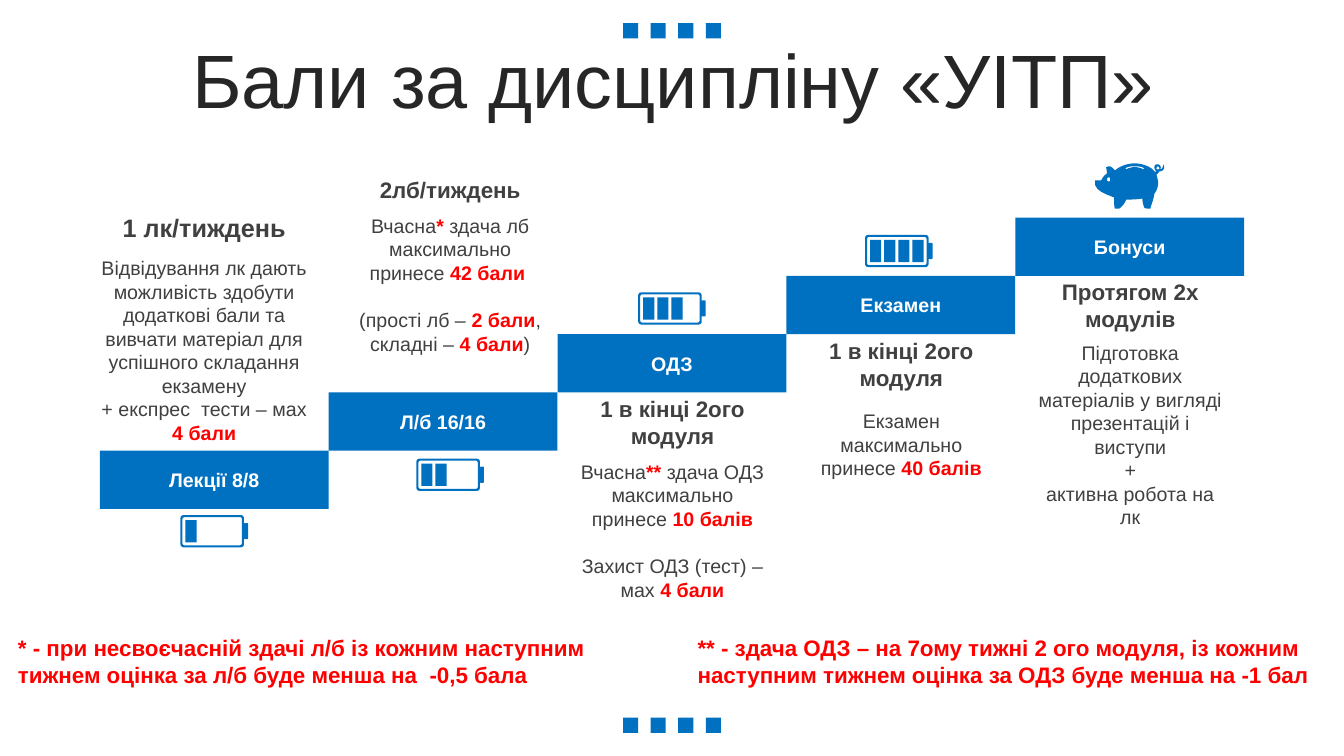
import dataclasses
import math

import pptx
import pptx.dml.color
import pptx.enum.shapes
import pptx.enum.text
import pptx.util

Inches = pptx.util.Inches
ALIGN = pptx.enum.text.PP_ALIGN
ANCHOR = pptx.enum.text.MSO_ANCHOR


@dataclasses.dataclass(frozen=True)
class Theme:
    """Colours and type sizes of the slide."""
    font: str = "Arial"
    blue: str = "0070C0"
    white: str = "FFFFFF"
    title: str = "262626"
    ink: str = "404040"
    red: str = "FF0000"
    title_size: int = 54
    lead_size: int = 18
    heading_size: int = 16
    body_size: int = 14


@dataclasses.dataclass(frozen=True)
class Box:
    """A region of the slide in inches."""
    left: float
    top: float
    width: float
    height: float

    def emu(self):
        """Return the four lengths for python-pptx."""
        return [Inches(length) for length in (self.left, self.top, self.width, self.height)]


THEME = Theme()
STEPS = ["Лекції 8/8", "Л/б 16/16", "ОДЗ", "Екзамен", "Бонуси"]

# Each paragraph is a list of runs; a run starting with "!" is emphasised in red.
CAPTIONS = [
    (Box(0.85, 2.02, 2.35, 2.69), 0.48, 0.47, THEME.lead_size, "1 лк/тиждень", 0,
     [["Відвідування лк дають можливість здобути додаткові бали та вивчати матеріал "
       "для успішного складання екзамену"],
      ["+ експрес  тести – мах ", "!4 бали"]]),
    (Box(3.41, 1.7, 2.11, 1.88), 0.37, 0.37, THEME.heading_size, "2лб/тиждень", 17,
     [["Вчасна", "!*", " здача лб максимально принесе ", "!42 бали "],
      ["(прості лб – ", "!2 бали", ", складні – ", "!4 бали", ")"]]),
    (Box(5.63, 3.82, 2.08, 2.2), 0.73, 0.69, THEME.heading_size, "1 в кінці 2ого модуля", 17,
     [["Вчасна", "!**", " здача ОДЗ максимально принесе ", "!10 балів"],
      ["Захист ОДЗ (тест) – мах ", "!4 бали"]]),
    (Box(7.9, 3.24, 2.08, 1.58), 0.74, 0.77, THEME.heading_size, "1 в кінці 2ого модуля", 0,
     [["Екзамен максимально принесе ", "!40 балів"]]),
    (Box(10.17, 2.66, 2.08, 2.66), 0.73, 0.67, THEME.heading_size, "Протягом 2х модулів", 0,
     [["Підготовка додаткових матеріалів у вигляді презентацій і виступи"],
      ["+"], ["активна робота на лк"]]),
]
NOTES = [
    (Box(0.08, 6.24, 6.09, 0.64),
     "* - при несвоєчасній здачі л/б із кожним наступним тижнем оцінка за л/б "
     "буде менша на  -0,5 бала"),
    (Box(6.82, 6.24, 6.3, 0.64),
     "** - здача ОДЗ – на 7ому тижні 2 ого модуля, із кожним наступним тижнем "
     "оцінка за ОДЗ буде менша на -1 бал"),
]
BATTERIES = [(1.79, 5.11), (4.13, 4.55), (6.33, 2.9), (8.58, 2.33)]
PIG = [
    [(.14, .14), (.12, .14, .12, .15, .12, .16), (.12, .17, .12, .18, .14, .18),
     (.15, .18, .15, .17, .15, .16), (.15, .15, .15, .14, .14, .14)],
    [(.62, .03), (.62, .03, .61, .04, .61, .05), (.61, .06, .62, .06, .62, .06),
     (.63, .06, .64, .06, .64, .05), (.64, .04, .63, .03, .62, .03)],
    [(.39, .03), (.36, .03, .33, .03, .3, .05), (.31, .06), (.36, .03, .43, .03, .48, .06),
     (.49, .05), (.46, .03, .43, .03, .39, .03)],
    [(.39, 0), (.46, 0, .55, .03, .58, .07), (.6, .09), (.6, .08, .6, .08, .61, .08),
     (.6, .07, .59, .06, .59, .04), (.59, .02, .6, .01, .62, .01),
     (.64, .01, .66, .03, .65, .05), (.65, .06, .65, .05, .65, .06),
     (.66, .05, .67, .06, .68, .01), (.7, .06, .67, .08, .64, .08),
     (.63, .09, .62, .11, .61, .11), (.62, .15), (.64, .21, .61, .28, .59, .3),
     (.58, .37, .56, .4, .55, .45), (.54, .45, .49, .45, .49, .44),
     (.48, .42, .47, .38, .47, .35), (.41, .36, .35, .36, .31, .36),
     (.3, .39, .27, .43, .24, .45), (.2, .45), (.19, .45, .19, .38, .19, .34),
     (.13, .31, -.02, .28, 0, .17), (0, .17, .04, .17, .06, .17),
     (.08, .14, .09, .12, .12, .1), (.12, .08, .11, .04, .11, .04),
     (.16, .01, .17, .05, .2, .07), (.24, .03, .33, 0, .39, 0)],
]


def paint(shape, colour):
    """Give a shape a plain fill without line or shadow."""
    shape.fill.solid()
    shape.fill.fore_color.rgb = pptx.dml.color.RGBColor.from_string(colour)
    shape.line.fill.background()
    shape.shadow.inherit = False


def add_run(paragraph, words, size, colour, bold=False):
    """Append one styled run."""
    run = paragraph.add_run()
    run.text = words
    run.font.name = THEME.font
    run.font.size = pptx.util.Pt(size)
    run.font.bold = bold
    run.font.color.rgb = pptx.dml.color.RGBColor.from_string(colour)


def add_frame(slide, box, anchor=ANCHOR.TOP, grow=True):
    """Add a wrapping text box and return its frame."""
    frame = slide.shapes.add_textbox(*box.emu()).text_frame
    frame.word_wrap = True
    frame.vertical_anchor = anchor
    if grow:
        frame.auto_size = pptx.enum.text.MSO_AUTO_SIZE.SHAPE_TO_FIT_TEXT
    return frame


def add_block(slide, box, words):
    """Add a blue rectangle with an optional centred label."""
    block = slide.shapes.add_shape(pptx.enum.shapes.MSO_SHAPE.RECTANGLE, *box.emu())
    paint(block, THEME.blue)
    if words:
        block.text_frame.vertical_anchor = ANCHOR.MIDDLE
        label = block.text_frame.paragraphs[0]
        label.alignment = ALIGN.CENTER
        add_run(label, words, THEME.body_size, THEME.white, True)


def add_dots(slide, box):
    """Spread four square dots over the box."""
    pitch = (box.width - box.height) / 3
    for i in range(4):
        add_block(slide, Box(box.left + i * pitch, box.top, box.height, box.height), "")


def add_title(slide, box):
    """Add the slide title."""
    title = add_frame(slide, box, ANCHOR.MIDDLE, grow=False).paragraphs[0]
    title.alignment = ALIGN.CENTER
    title.line_spacing = 0.9
    title.space_before = pptx.util.Pt(10)
    add_run(title, "Бали за дисципліну «УІТП»", THEME.title_size, THEME.title)


def add_stairs(slide, box):
    """Build the rising staircase of labelled steps."""
    width, height = box.width / len(STEPS), box.height / len(STEPS)
    for i, words in enumerate(STEPS):
        top = box.top + box.height - (i + 1) * height
        add_block(slide, Box(box.left + i * width, top, width, height), words)


def add_caption(slide, box, heading_height, body_offset, heading_size, heading, gap, body):
    """Place a heading and its explanation in the box."""
    heading_box = Box(box.left, box.top, box.width, heading_height)
    headline = add_frame(slide, heading_box, ANCHOR.MIDDLE).paragraphs[0]
    headline.alignment = ALIGN.CENTER
    add_run(headline, heading, heading_size, THEME.ink, True)
    body_box = Box(box.left, box.top + body_offset, box.width, box.height - body_offset)
    frame = add_frame(slide, body_box)
    for i, runs in enumerate(body):
        paragraph = frame.add_paragraph() if i else frame.paragraphs[0]
        paragraph.alignment = ALIGN.CENTER
        paragraph.space_before = pptx.util.Pt(gap if i else 0)
        for words in runs:
            strong = words.startswith("!")
            add_run(paragraph, words.lstrip("!"), THEME.body_size,
                    THEME.red if strong else THEME.ink, strong)


def add_outline(slide, left, top, contours):
    """Draw closed contours, given as offsets in inches, as one filled outline."""
    placed = [[(Inches(left + x), Inches(top + y)) for x, y in points] for points in contours]
    builder = slide.shapes.build_freeform(*placed[0][0])
    for i, points in enumerate(placed):
        if i:
            builder.move_to(*points[0])
        builder.add_line_segments(points[1:], close=True)
    paint(builder.convert_to_shape(), THEME.blue)


def rounded(box, radius):
    """Return the points of a rectangle with rounded corners."""
    right, bottom = box.left + box.width - radius, box.top + box.height - radius
    left, top = box.left + radius, box.top + radius
    centres = [(right, bottom), (left, bottom), (left, top), (right, top)]
    return [(x + radius * math.cos(math.radians(angle)), y + radius * math.sin(math.radians(angle)))
            for i, (x, y) in enumerate(centres)
            for angle in range(90 * i, 90 * i + 91, 30)]


def flatten(segments, parts=6):
    """Turn lines and cubic curves into points."""
    points = [segments[0]]
    for segment in segments[1:]:
        if len(segment) == 2:
            points.append(segment)
            continue
        controls = [points[-1], segment[:2], segment[2:4], segment[4:]]
        for k in range(1, parts + 1):
            t = k / parts
            weights = [math.comb(3, n) * t ** n * (1 - t) ** (3 - n) for n in range(4)]
            points.append(tuple(sum(w * c[axis] for w, c in zip(weights, controls))
                                for axis in (0, 1)))
    return points


def add_battery(slide, left, top, charge):
    """Draw a battery with the given number of charged cells."""
    case = [rounded(Box(0, 0, 0.63, 0.32), 0.03), rounded(Box(0.02, 0.02, 0.59, 0.28), 0.02),
            rounded(Box(0.63, 0.08, 0.04, 0.16), 0.01)]
    cells = [rounded(Box(0.05 + 0.14 * i, 0.05, 0.11, 0.22), 0) for i in range(charge)]
    add_outline(slide, left, top, case + cells)


def add_note(slide, box, words):
    """Add a red footnote."""
    add_run(add_frame(slide, box).paragraphs[0], words, THEME.heading_size, THEME.red, True)


def main():
    """Build and save the slide."""
    deck = pptx.Presentation()
    deck.slide_width, deck.slide_height = Inches(13.33), Inches(7.5)
    slide = deck.slides.add_slide(deck.slide_layouts[6])
    for top in (0.23, 7.12):
        add_dots(slide, Box(6.18, top, 0.97, 0.15))
    add_title(slide, Box(0.35, 0.44, 12.66, 0.79))
    add_stairs(slide, Box(0.99, 2.16, 11.35, 2.89))
    for caption in CAPTIONS:
        add_caption(slide, *caption)
    add_outline(slide, 10.86, 1.62, [flatten(contour) for contour in PIG])
    for box, words in NOTES:
        add_note(slide, box, words)
    for charge, (left, top) in enumerate(BATTERIES, start=1):
        add_battery(slide, left, top, charge)
    deck.save("out.pptx")


if __name__ == "__main__":
    main()
